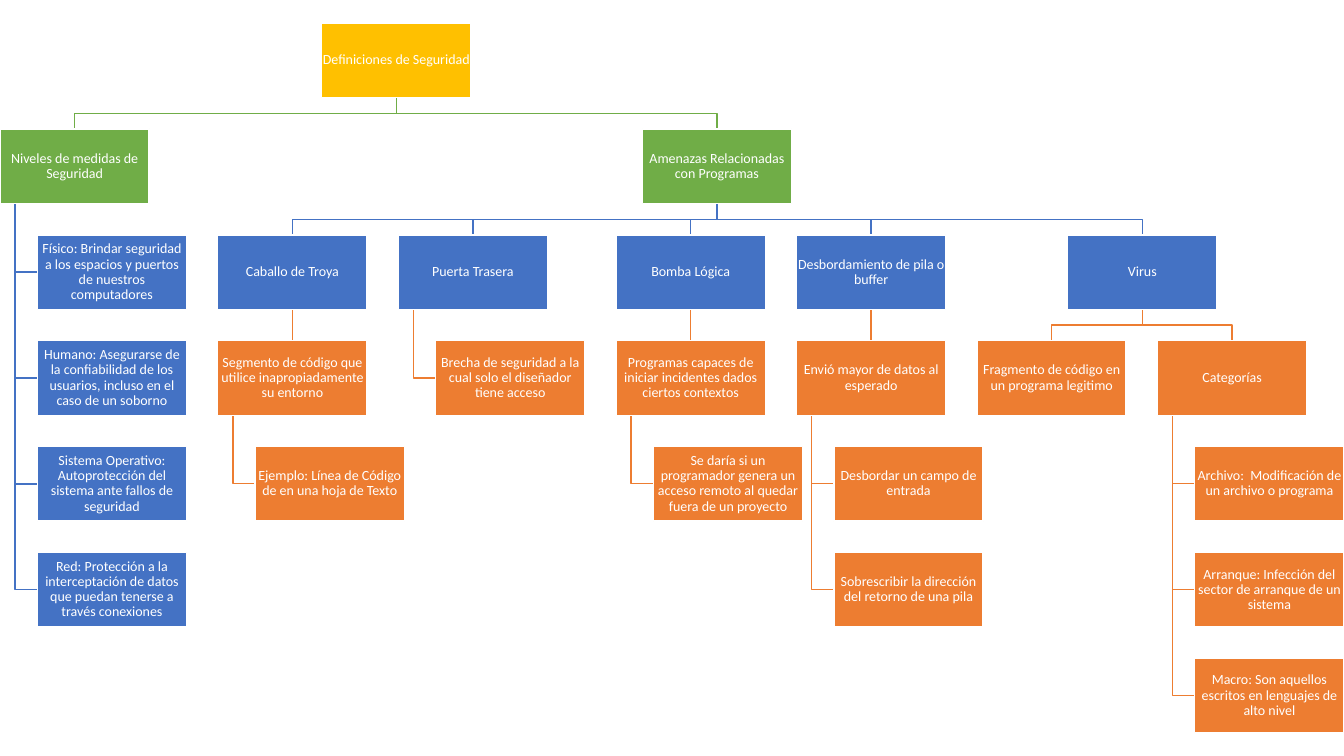
from pptx import Presentation
from pptx.dml.color import RGBColor
from pptx.enum.shapes import MSO_CONNECTOR, MSO_SHAPE
from pptx.enum.text import MSO_ANCHOR, PP_ALIGN
from pptx.oxml.ns import qn
from pptx.util import Inches, Pt
from lxml import etree

RECT, STRAIGHT = MSO_SHAPE.RECTANGLE, MSO_CONNECTOR.STRAIGHT
MIDDLE, CENTER = MSO_ANCHOR.MIDDLE, PP_ALIGN.CENTER
COLORS = {"root": "FFC000", "branch": "70AD47", "topic": "4472C4",
          "detail": "ED7D31", "white": "FFFFFF"}
BOX_W, BOX_H = 1.48, 0.74
TOP, ROW_STEP = 0.23, 1.05
INDENT, SPINE = 0.37, 0.15  # offsets of hanging boxes and their vertical line

# name: (parent, kind, left, row, text)
NODES = {
    "root": (None, "root", 3.19, 0, "Definiciones de Seguridad"),
    "levels": ("root", "branch", 0, 1, "Niveles de medidas de Seguridad"),
    "physical": ("levels", "topic", 0.37, 2,
                 "Físico: Brindar seguridad a los espacios y puertos de nuestros computadores"),
    "human": ("levels", "topic", 0.37, 3,
              "Humano: Asegurarse de la confiabilidad de los usuarios, incluso en el caso de un soborno"),
    "system": ("levels", "topic", 0.37, 4,
               "Sistema Operativo: Autoprotección del sistema ante fallos de seguridad"),
    "network": ("levels", "topic", 0.37, 5,
                "Red: Protección a la interceptación de datos que puedan tenerse a través conexiones"),
    "threats": ("root", "branch", 6.37, 1, "Amenazas Relacionadas con Programas"),
    "trojan": ("threats", "topic", 2.16, 2, "Caballo de Troya"),
    "trojan_def": ("trojan", "detail", 2.16, 3,
                   "Segmento de código que utilice inapropiadamente su entorno"),
    "trojan_example": ("trojan_def", "detail", 2.53, 4,
                       "Ejemplo: Línea de Código de en una hoja de Texto"),
    "backdoor": ("threats", "topic", 3.95, 2, "Puerta Trasera"),
    "backdoor_def": ("backdoor", "detail", 4.32, 3,
                     "Brecha de seguridad a la cual solo el diseñador tiene acceso"),
    "bomb": ("threats", "topic", 6.11, 2, "Bomba Lógica"),
    "bomb_def": ("bomb", "detail", 6.11, 3,
                 "Programas capaces de iniciar incidentes dados ciertos contextos"),
    "bomb_example": ("bomb_def", "detail", 6.48, 4,
                     "Se daría si un programador genera un acceso remoto al quedar fuera de un proyecto"),
    "overflow": ("threats", "topic", 7.9, 2, "Desbordamiento de pila o buffer"),
    "overflow_def": ("overflow", "detail", 7.9, 3, "Envió mayor de datos al esperado"),
    "overflow_field": ("overflow_def", "detail", 8.27, 4, "Desbordar un campo de entrada"),
    "overflow_return": ("overflow_def", "detail", 8.27, 5,
                        "Sobrescribir la dirección del retorno de una pila"),
    "virus": ("threats", "topic", 10.59, 2, "Virus"),
    "virus_def": ("virus", "detail", 9.69, 3, "Fragmento de código en un programa legitimo"),
    "categories": ("virus", "detail", 11.48, 3, "Categorías"),
    "file": ("categories", "detail", 11.85, 4, "Archivo:  Modificación de un archivo o programa"),
    "boot": ("categories", "detail", 11.85, 5,
             "Arranque: Infección del sector de arranque de un sistema"),
    "macro": ("categories", "detail", 11.85, 6,
              "Macro: Son aquellos escritos en lenguajes de alto nivel"),
}


def rgb(name):
    """Return the named colour."""
    return RGBColor.from_string(COLORS[name])


def draw_link(s, points, kind):
    """Draw a straight or bent line through points given in inches."""
    pts = [(Inches(x), Inches(y)) for x, y in points]
    if len(pts) == 2:
        sp = s.shapes.add_connector(STRAIGHT, *pts[0], *pts[1])
        etree.SubElement(sp.line._get_or_add_ln().getparent(), qn("a:effectLst"))
    else:
        fb = s.shapes.build_freeform(*pts[0])
        fb.add_line_segments(pts[1:], close=False)
        sp = fb.convert_to_shape()
        sp.fill.background()
        sp.shadow.inherit = False
    sp.line.color.rgb = rgb(kind)
    sp.line.width = Pt(1)


prs = Presentation()
prs.slide_width, prs.slide_height = Inches(13.33), Inches(7.5)
s = prs.slides.add_slide(prs.slide_layouts[6])

for parent, kind, left, row, text in NODES.values():
    if parent is None:
        continue
    parent_left, parent_row = NODES[parent][2:4]
    start_y = TOP + parent_row * ROW_STEP + BOX_H
    end_y = TOP + row * ROW_STEP
    start_x, end_x = parent_left + BOX_W / 2, left + BOX_W / 2
    if abs(left - parent_left - INDENT) < 0.01:
        spine_x, mid_y = parent_left + SPINE, end_y + BOX_H / 2
        points = [(spine_x, start_y), (spine_x, mid_y), (left, mid_y)]
    elif left == parent_left:
        points = [(start_x, start_y), (end_x, end_y)]
    else:
        bar_y = (start_y + end_y) / 2
        points = [(start_x, start_y), (start_x, bar_y), (end_x, bar_y), (end_x, end_y)]
    draw_link(s, points, kind)

for parent, kind, left, row, text in NODES.values():
    sp = s.shapes.add_shape(RECT, Inches(left), Inches(TOP + row * ROW_STEP),
                            Inches(BOX_W), Inches(BOX_H))
    sp.shadow.inherit = False
    sp.fill.solid()
    sp.fill.fore_color.rgb = rgb(kind)
    sp.line.color.rgb = rgb("white")
    sp.line.width = Pt(1)
    tf = sp.text_frame
    tf.word_wrap = True
    tf.vertical_anchor = MIDDLE
    tf.margin_left = tf.margin_right = tf.margin_top = tf.margin_bottom = Inches(0.01)
    p = tf.paragraphs[0]
    p.alignment = CENTER
    p.line_spacing = 0.9
    r = p.add_run()
    r.text = text
    r.font.name = "Calibri"
    r.font.size = Pt(10)
    r.font.color.rgb = rgb("white")

prs.save("out.pptx")
